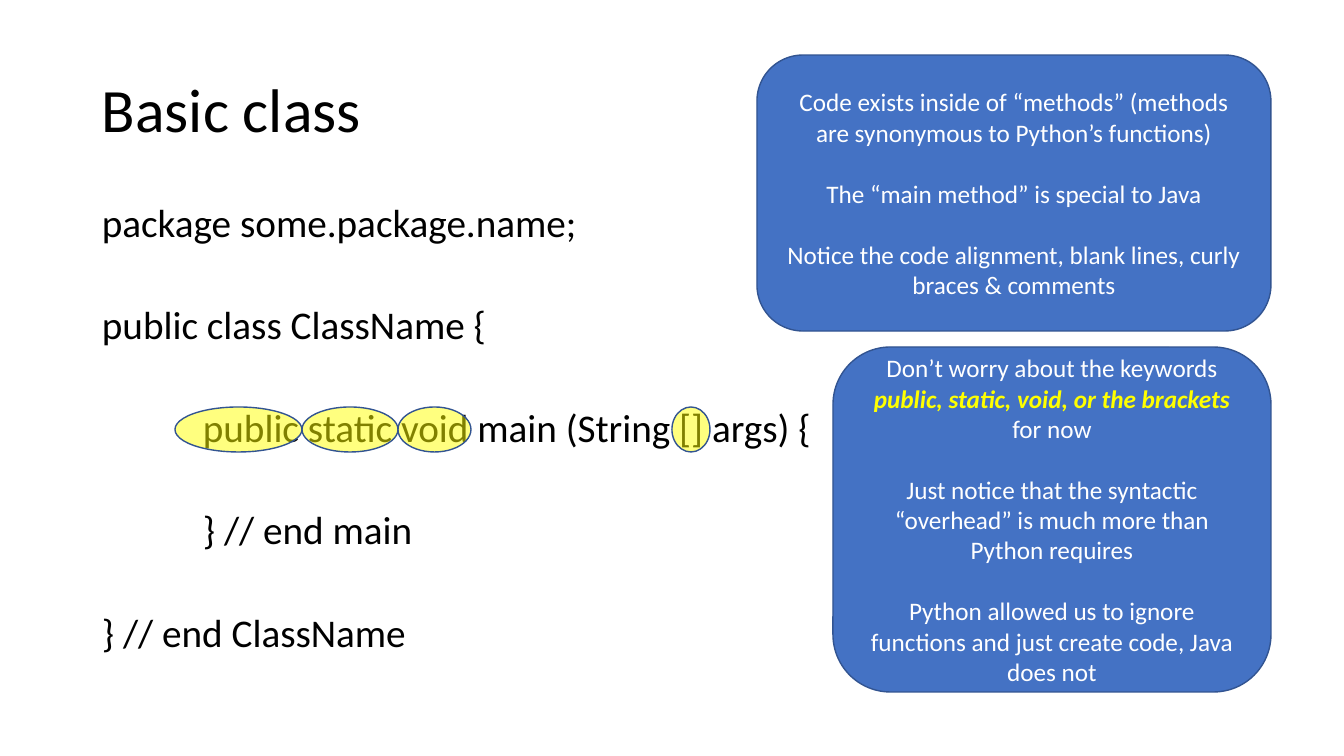
from lxml import etree
from pptx import Presentation
from pptx.dml.color import RGBColor
from pptx.enum.shapes import MSO_SHAPE
from pptx.enum.text import MSO_ANCHOR, PP_ALIGN
from pptx.oxml.ns import qn
from pptx.util import Pt

EMU_PER_PX = 914400 / 100.8
ROUNDED = MSO_SHAPE.ROUNDED_RECTANGLE
OVAL = MSO_SHAPE.OVAL
MIDDLE = MSO_ANCHOR.MIDDLE
TOP = MSO_ANCHOR.TOP
LEFT = PP_ALIGN.LEFT
CENTER = PP_ALIGN.CENTER

FONT = "Calibri"
COLORS = {
    "ink": "000000",
    "callout": "4472C4",
    "outline": "325491",
    "light": "FFFFFF",
    "highlight": "FFFF00",
}
TAB = 101  # px, one code indent level

# Code lines: indent level and text
CODE = [
    (0, "package some.package.name;"),
    (0, "public class ClassName {"),
    (1, "public static void main (String [] args) {"),
    (1, "} // end main"),
    (0, "} // end ClassName"),
]

# Callout paragraphs: lists of (text, emphasised)
METHOD_NOTES = [
    [("Code exists inside of “methods” (methods are synonymous to Python’s functions)", False)],
    [("The “main method” is special to Java", False)],
    [("Notice the code alignment, blank lines, curly braces & comments", False)],
]
KEYWORD_NOTES = [
    [
        ("Don’t worry about the keywords ", False),
        ("public, static, void, or the brackets ", True),
        ("for now", False),
    ],
    [("Just notice that the syntactic “overhead” is much more than Python requires", False)],
    [("Python allowed us to ignore functions and just create code, Java does not", False)],
]

# Left edge and width of each keyword marker
MARKERS = [(175, 127), (302, 96), (398, 73), (672, 38)]


def px(length):
    return round(length * EMU_PER_PX)


def color(name):
    return RGBColor.from_string(COLORS[name])


def style_span(span, size, color_name, emphasised=False):
    span.font.name = FONT
    span.font.size = Pt(size)
    span.font.color.rgb = color(color_name)
    span.font.bold = emphasised
    span.font.italic = emphasised


def setup_frame(frame, anchor):
    frame.word_wrap = True
    frame.vertical_anchor = anchor


def add_lines(page, area, lines, size, line_spacing, gap=0, anchor=TOP):
    box = page.shapes.add_textbox(*map(px, area))
    frame = box.text_frame
    setup_frame(frame, anchor)
    for index, (level, text) in enumerate(lines):
        para = frame.add_paragraph() if index else frame.paragraphs[0]
        para.text = text
        para.alignment = LEFT
        para.line_spacing = line_spacing
        para.space_before = Pt(gap if index else 0)
        para._p.get_or_add_pPr().set("marL", str(px(level * TAB)))
        style_span(para.runs[0], size, "ink")


def add_outlined(page, kind, area, fill_name):
    shape = page.shapes.add_shape(kind, *map(px, area))
    shape.shadow.inherit = False
    shape.fill.solid()
    shape.fill.fore_color.rgb = color(fill_name)
    shape.line.color.rgb = color("outline")
    shape.line.width = Pt(1)
    return shape


def add_callout(page, area, notes):
    frame = add_outlined(page, ROUNDED, area, "callout").text_frame
    setup_frame(frame, MIDDLE)
    for index, spans in enumerate(notes):
        para = frame.add_paragraph() if index else frame.paragraphs[0]
        para.alignment = CENTER
        para.space_before = Pt(22 if index else 0)
        for text, emphasised in spans:
            span = para.add_run()
            span.text = text
            style_span(span, 18, "highlight" if emphasised else "light", emphasised)


def add_marker(page, left, width):
    marker = add_outlined(page, OVAL, (left, 407, width, 45), "highlight")
    # Half-transparent fill keeps the code readable
    fill = marker.element.spPr.find(qn("a:solidFill"))
    etree.SubElement(fill[0], qn("a:alpha")).set("val", "50000")


def main():
    deck = Presentation()
    deck.slide_width, deck.slide_height = px(1344), px(756)
    page = deck.slides.add_slide(deck.slide_layouts[6])

    # Title and code listing
    add_lines(page, (92, 40, 1159, 146), [(0, "Basic class")], 44, 0.9, anchor=MIDDLE)
    add_lines(page, (92, 202, 1159, 480), CODE, 28, 0.8, gap=46.4)

    # Callouts
    add_callout(page, (757, 55, 514, 276), METHOD_NOTES)
    add_callout(page, (833, 347, 438, 345), KEYWORD_NOTES)

    # Keyword markers
    for left, width in MARKERS:
        add_marker(page, left, width)

    deck.save("out.pptx")


if __name__ == "__main__":
    main()
